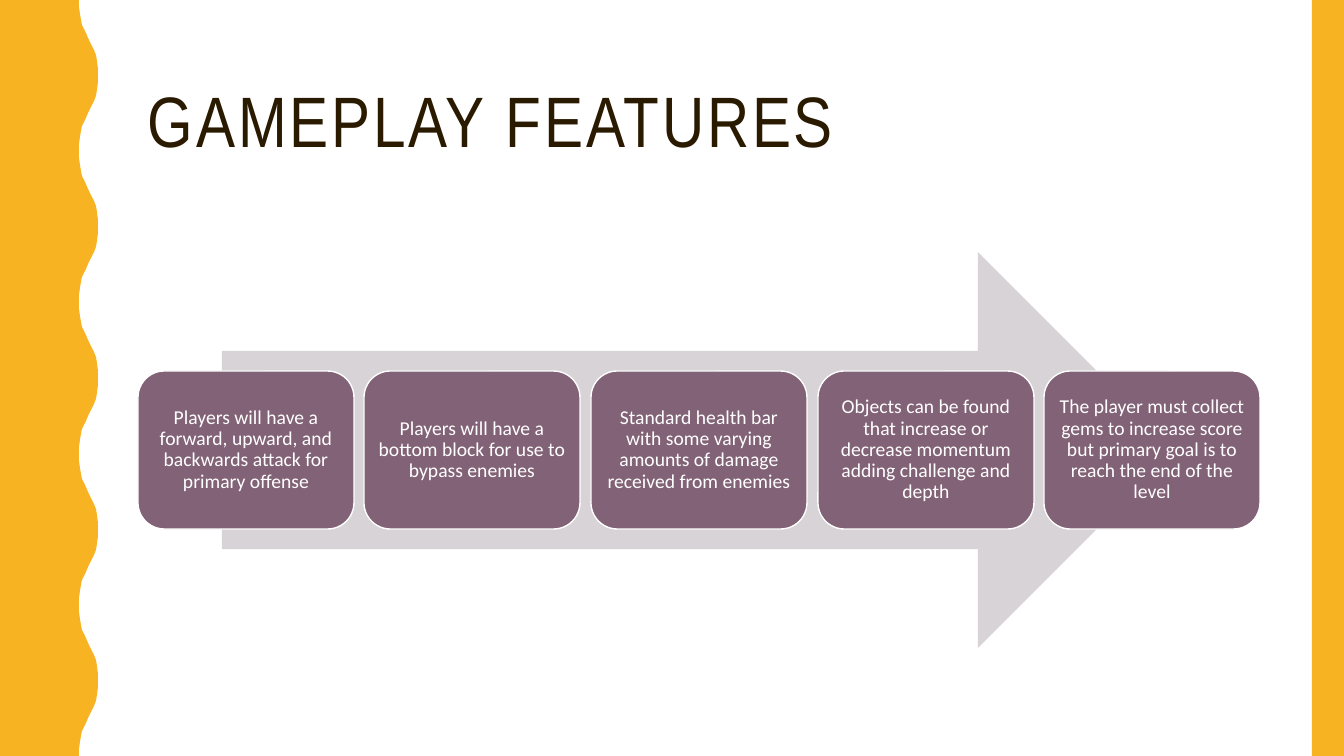
from pptx import Presentation
from pptx.dml.color import RGBColor
from pptx.enum.shapes import MSO_SHAPE
from pptx.enum.text import MSO_ANCHOR, PP_ALIGN
from pptx.util import Pt

EMU_PER_PX = 12192000 / 1344
WIDTH, HEIGHT = 1344, 756

GOLD, BROWN, WHITE = "F8B323", "2A1A00", "FFFFFF"
PLUM, PALE_PLUM = "826276", "D8D3D6"

FEATURES = [
    "Players will have a forward, upward, and backwards attack for primary offense",
    "Players will have a bottom block for use to bypass enemies",
    "Standard health bar with some varying amounts of damage received from enemies",
    "Objects can be found that increase or decrease momentum adding challenge and depth",
    "The player must collect gems to increase score but primary goal is to reach "
    "the end of the level",
]

# Half a wave, trough to crest: (distance outwards, distance down)
HALF_WAVE = [(0, 0), (0, 7), (1, 14), (2, 20), (3, 25), (5, 29), (7, 33), (9, 38),
             (11, 42), (13, 46), (15, 50), (17, 55), (18, 61), (19, 69), (19, 76)]


def px(n):
    return round(n * EMU_PER_PX)


def rgb(color):
    return RGBColor.from_string(color)


class SlideBuilder:
    def __init__(self, prs):
        self.s = prs.slides.add_slide(prs.slide_layouts[6])
        self.s.background.fill.solid()
        self.s.background.fill.fore_color.rgb = rgb(WHITE)

    def paint(self, sp, fill, line=None):
        sp.shadow.inherit = False
        sp.fill.solid()
        sp.fill.fore_color.rgb = rgb(fill)
        if line:
            sp.line.color.rgb = rgb(line)
            sp.line.width = Pt(1)
        else:
            sp.line.fill.background()
        return sp

    def shape(self, kind, x, y, w, h, fill, line=None):
        sp = self.s.shapes.add_shape(kind, px(x), px(y), px(w), px(h))
        return self.paint(sp, fill, line)

    def outline(self, points, fill):
        builder = self.s.shapes.build_freeform(*points[0], scale=EMU_PER_PX)
        builder.add_line_segments(points[1:], close=True)
        return self.paint(builder.convert_to_shape(), fill)

    def set_text(self, sp, text, font, size, color, align, spacing=0):
        tf = sp.text_frame
        tf.text = text
        tf.word_wrap = True
        tf.vertical_anchor = MSO_ANCHOR.MIDDLE
        p = tf.paragraphs[0]
        p.alignment = align
        p.line_spacing = 0.9
        r = p.runs[0]
        r.font.name = font
        r.font.size = Pt(size)
        r.font.color.rgb = rgb(color)
        if spacing:
            r._r.get_or_add_rPr().set("spc", str(spacing * 100))

    def title(self, text, x, y, w, h):
        sp = self.s.shapes.add_textbox(px(x), px(y), px(w), px(h))
        self.set_text(sp, text, "Arial Narrow", 51, BROWN, PP_ALIGN.LEFT, spacing=2)

    def card(self, text, x, y, w, h):
        sp = self.shape(MSO_SHAPE.ROUNDED_RECTANGLE, x, y, w, h, PLUM, WHITE)
        tf = sp.text_frame
        tf.margin_left = tf.margin_right = tf.margin_top = tf.margin_bottom = px(6)
        self.set_text(sp, text, "Calibri", 14, WHITE, PP_ALIGN.CENTER)


def wave_points(trough, waves):
    period = HEIGHT / waves
    points = [(0, 0)]
    for i in range(waves):
        top, bottom = i * period, (i + 1) * period
        points += [(trough + dx, round(top + dy)) for dx, dy in HALF_WAVE]
        points += [(trough + dx, round(bottom - dy)) for dx, dy in HALF_WAVE[-2::-1]]
    return points + [(0, HEIGHT)]


def main():
    prs = Presentation()
    prs.slide_width, prs.slide_height = px(WIDTH), px(HEIGHT)
    slide = SlideBuilder(prs)

    # Title
    slide.title("GAMEPLAY FEATURES", 138, 42, 1122, 164)

    # Wavy left edge and right bar
    slide.outline(wave_points(trough=79, waves=5), GOLD)
    slide.shape(MSO_SHAPE.RECTANGLE, 1312, 0, 32, HEIGHT, GOLD)

    # Arrow behind the cards
    slide.shape(MSO_SHAPE.RIGHT_ARROW, 222, 252, 954, 396, PALE_PLUM)

    # Feature cards, evenly spread between two edges
    left, right, card_w = 138, 1260, 216
    step = (right - left - card_w) / (len(FEATURES) - 1)
    for i, feature in enumerate(FEATURES):
        slide.card(feature, round(left + i * step), 371, card_w, 158)

    prs.save("out.pptx")


if __name__ == "__main__":
    main()
